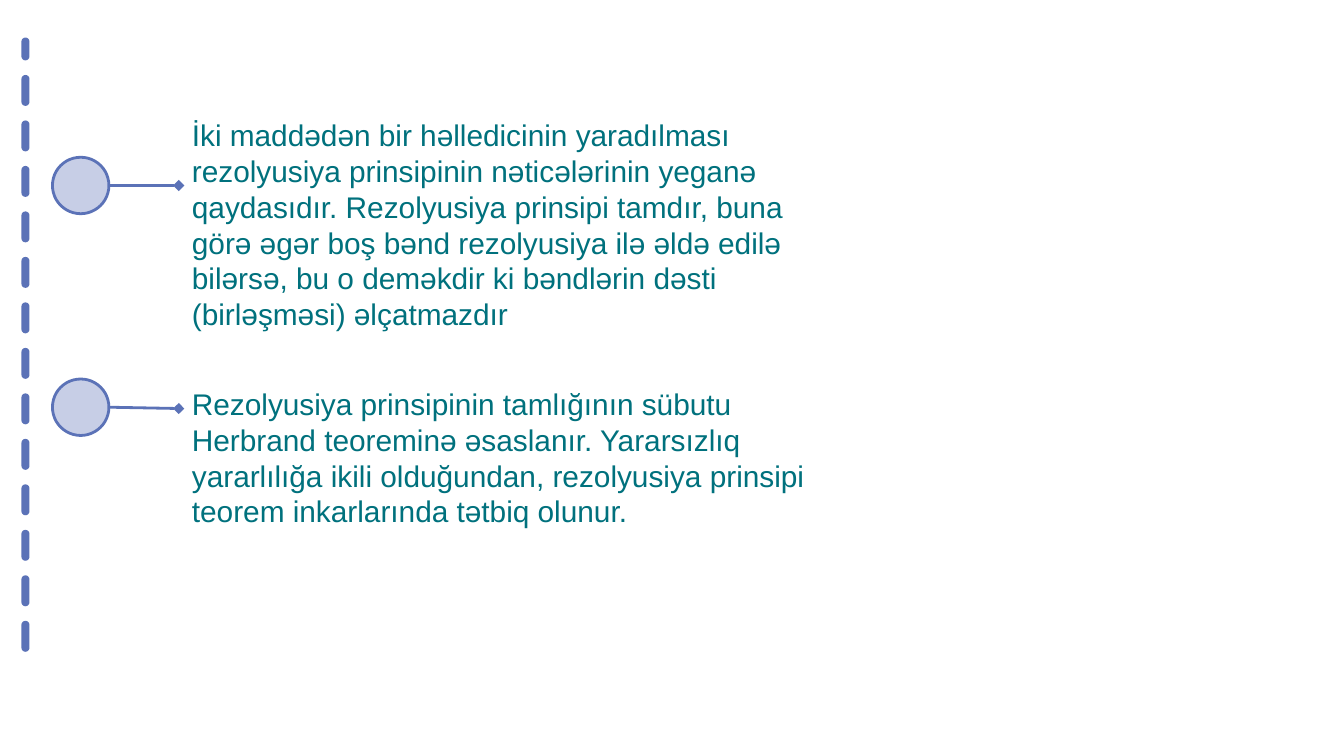
from math import cos, pi, sin

from lxml.etree import SubElement
from pptx import Presentation
from pptx.dml.color import RGBColor
from pptx.enum.shapes import MSO_CONNECTOR as Connector, MSO_SHAPE as Shape
from pptx.enum.text import MSO_AUTO_SIZE as AutoSize
from pptx.oxml.ns import qn
from pptx.util import Inches, Pt

BLUE = RGBColor(0x5B, 0x72, 0xB7)
TEAL = RGBColor(0x00, 0x71, 0x7D)

POINTS = [
    {
        "text": "İki maddədən bir həlledicinin yaradılması rezolyusiya prinsipinin "
                "nəticələrinin yeganə qaydasıdır. Rezolyusiya prinsipi tamdır, buna görə "
                "əgər boş bənd rezolyusiya ilə əldə edilə bilərsə, bu o deməkdir ki "
                "bəndlərin dəsti (birləşməsi) əlçatmazdır",
        "circle_top": 1.17, "text_top": 0.82, "text_height": 1.72, "line_end": 1.38,
    },
    {
        "text": "Rezolyusiya prinsipinin tamlığının sübutu Herbrand teoreminə əsaslanır. "
                "Yararsızlıq yararlılığa ikili olduğundan, rezolyusiya prinsipi teorem "
                "inkarlarında tətbiq olunur.",
        "circle_top": 2.82, "text_top": 2.82, "text_height": 1.18, "line_end": 3.04,
    },
]

SLIDE_WIDTH = 10
SLIDE_HEIGHT = SLIDE_WIDTH * 9 / 16

CIRCLE_LEFT, CIRCLE_SIZE = 0.39, 0.42
TEXT_LEFT, TEXT_WIDTH = 1.33, 5

DASH_COUNT, DASH_X, DASH_RADIUS = 14, 0.19, 0.03
DASH_HEIGHT, FIRST_TOP = 0.23, 0.28
FIRST_BOTTOM, LAST_BOTTOM = 0.45, 4.85
ARC_STEPS = 8


def dash_outline(top, bottom):
    ends = [(top + DASH_RADIUS, pi), (bottom - DASH_RADIUS, 0)]
    return [
        (Inches(DASH_X + DASH_RADIUS * cos(start + pi * step / ARC_STEPS)),
         Inches(center + DASH_RADIUS * sin(start + pi * step / ARC_STEPS)))
        for center, start in ends
        for step in range(ARC_STEPS + 1)
    ]


def add_dashes(page):
    pitch = (LAST_BOTTOM - FIRST_BOTTOM) / (DASH_COUNT - 1)
    bottoms = [FIRST_BOTTOM + pitch * index for index in range(DASH_COUNT)]
    outlines = [dash_outline(max(FIRST_TOP, bottom - DASH_HEIGHT), bottom)
                for bottom in bottoms]
    builder = page.shapes.build_freeform(*outlines[0][0])
    for outline in outlines:
        builder.move_to(*outline[0])
        builder.add_line_segments(outline[1:], close=True)
    dashes = builder.convert_to_shape()
    dashes.shadow.inherit = False
    dashes.fill.solid()
    dashes.fill.fore_color.rgb = BLUE
    dashes.line.fill.background()


def add_circle(page, top):
    circle = page.shapes.add_shape(
        Shape.OVAL, Inches(CIRCLE_LEFT), Inches(top),
        Inches(CIRCLE_SIZE), Inches(CIRCLE_SIZE))
    circle.shadow.inherit = False
    circle.fill.solid()
    circle.fill.fore_color.rgb = BLUE
    color = circle._element.spPr.find(qn("a:solidFill"))[0]
    SubElement(color, qn("a:alpha"), val="34000")
    circle.line.color.rgb = BLUE
    circle.line.width = Pt(1.5)


def add_pointer(page, start_y, end_y):
    pointer = page.shapes.add_connector(
        Connector.STRAIGHT, Inches(CIRCLE_LEFT + CIRCLE_SIZE), Inches(start_y),
        Inches(TEXT_LEFT), Inches(end_y))
    pointer.line.color.rgb = BLUE
    pointer.line.width = Pt(1.5)
    properties = pointer._element.spPr
    SubElement(properties.find(qn("a:ln")), qn("a:tailEnd"), type="diamond")
    SubElement(properties, qn("a:effectLst"))


def add_text(page, text, top, height):
    box = page.shapes.add_textbox(
        Inches(TEXT_LEFT), Inches(top), Inches(TEXT_WIDTH), Inches(height))
    frame = box.text_frame
    frame.word_wrap = True
    frame.auto_size = AutoSize.SHAPE_TO_FIT_TEXT
    frame.text = text
    font = frame.paragraphs[0].runs[0].font
    font.name = "Arial"
    font.size = Pt(16)
    font.color.rgb = TEAL


def main():
    deck = Presentation()
    deck.slide_width, deck.slide_height = Inches(SLIDE_WIDTH), Inches(SLIDE_HEIGHT)
    page = deck.slides.add_slide(deck.slide_layouts[6])
    for point in POINTS:
        add_circle(page, point["circle_top"])
    for point in POINTS:
        add_pointer(page, point["circle_top"] + CIRCLE_SIZE / 2, point["line_end"])
    add_dashes(page)
    for point in POINTS:
        add_text(page, point["text"], point["text_top"], point["text_height"])
    deck.save("out.pptx")


if __name__ == "__main__":
    main()
